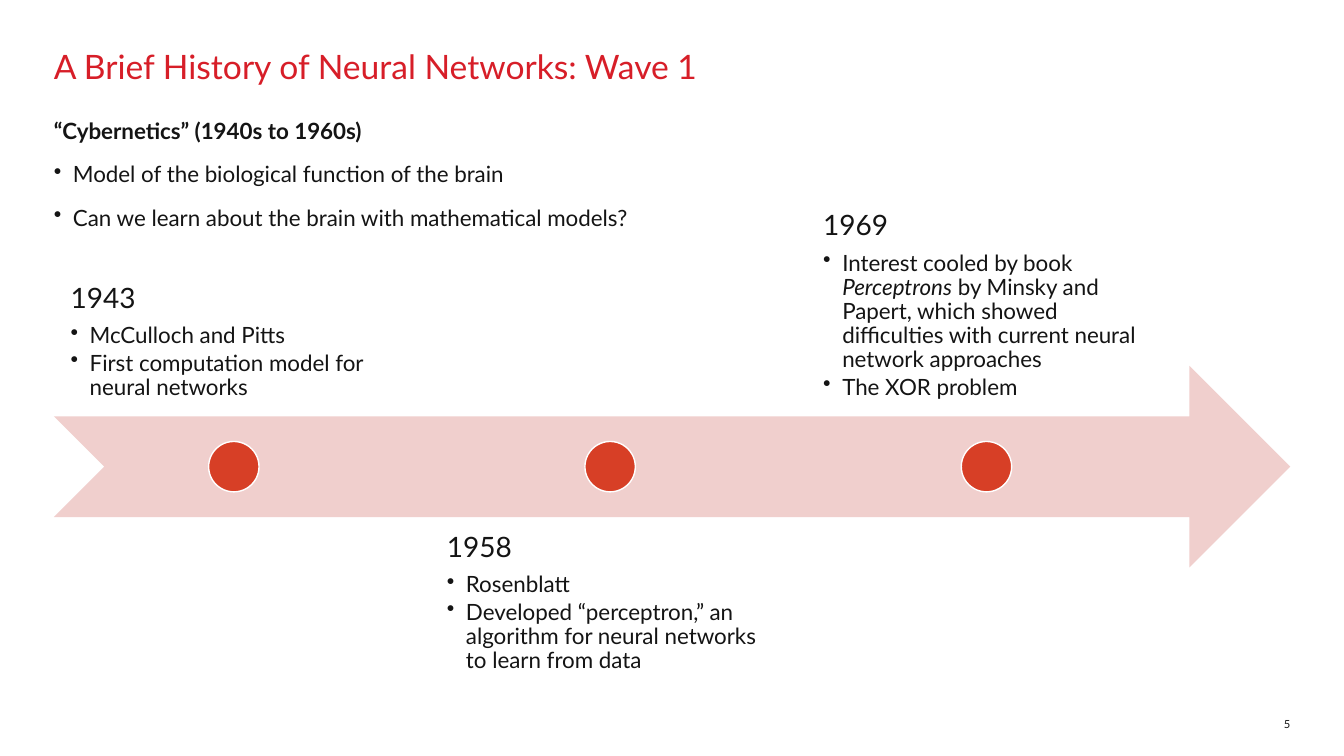
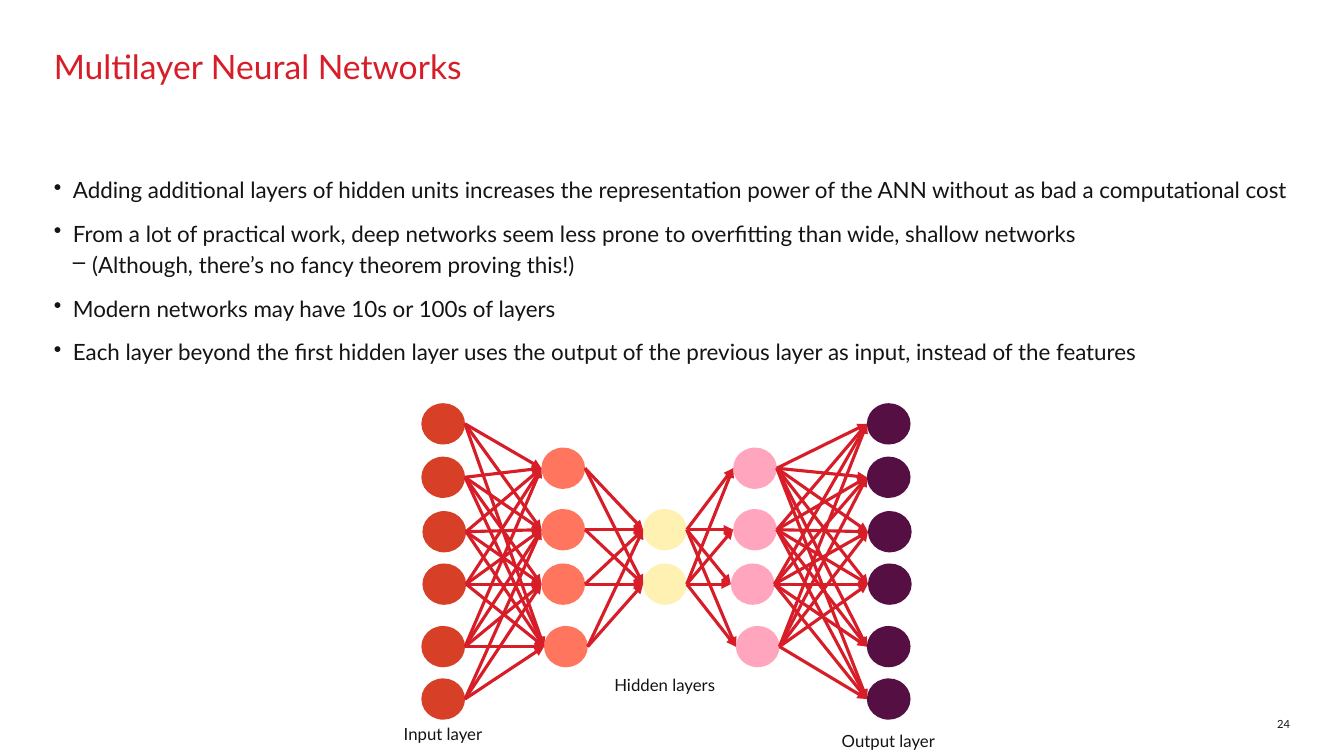
from dataclasses import dataclass
from itertools import pairwise, product

from lxml.etree import SubElement
from pptx import Presentation
from pptx.dml.color import RGBColor
from pptx.enum.shapes import MSO_CONNECTOR as Connector, MSO_SHAPE as Preset
from pptx.enum.text import MSO_ANCHOR as Anchor, PP_ALIGN as Align
from pptx.oxml.ns import qn
from pptx.util import Inches, Pt

COLORS = {
    "title": "D71E28", "text": "141414", "white": "FFFFFF",
    "arrow": "F0CFCD", "red": "D73F26", "coral": "FF755E",
    "cream": "FFF1B2", "pink": "FFA6BE", "plum": "550F43",
}
FONT = "Lato"

# Grid: 100 columns by 75 rows over the whole slide
WIDTH, HEIGHT = Inches(13.333), Inches(7.5)
MARGIN, CONTENT = 4, 92
HANG = Inches(0.19)


@dataclass(frozen=True)
class Line:
    """One paragraph; words between underscores are italic."""
    text: str
    size: float = 16
    color: str = "text"
    bold: bool = False
    bullet: str = ""
    level: int = 0
    before: float = 0
    after: float = 0
    spacing: float = 1.0


@dataclass(frozen=True)
class Milestone:
    year: str
    points: tuple[str, ...]
    above: bool


@dataclass(frozen=True)
class Layer:
    fill: str
    left: float
    tops: tuple[float, ...]
    shifts: tuple[float, ...]

    def nodes(self) -> list[tuple[float, float]]:
        return [(self.left + shift, top) for shift, top in zip(self.shifts, self.tops)]


@dataclass(frozen=True)
class Caption:
    text: str
    center: float
    top: float


def col(count: float) -> int:
    return round(WIDTH * count / 100)


def row(count: float) -> int:
    return round(HEIGHT * count / 75)


def rgb(name: str) -> RGBColor:
    return RGBColor.from_string(COLORS[name])


def add_text(slide, lines: list[Line], left: float, top: float, width: float,
             height: float, *, anchor=Anchor.TOP, align=Align.LEFT, inset: float = 0) -> None:
    frame = slide.shapes.add_textbox(col(left), row(top), col(width), row(height)).text_frame
    frame.word_wrap = True
    frame.vertical_anchor = anchor
    frame.margin_left = frame.margin_right = Inches(inset)
    frame.margin_top = frame.margin_bottom = Inches(inset)
    for index, line in enumerate(lines):
        paragraph = frame.add_paragraph() if index else frame.paragraphs[0]
        if line.bullet:
            props = paragraph._p.get_or_add_pPr()
            props.set("marL", str(HANG * (line.level + 1)))
            props.set("indent", str(-HANG))
            SubElement(props, qn("a:buChar"), char=line.bullet)
        paragraph.level = line.level
        paragraph.alignment = align
        paragraph.line_spacing = line.spacing
        paragraph.space_before = Pt(line.before if index else 0)
        paragraph.space_after = Pt(line.after)
        for part, words in enumerate(line.text.split("_")):
            run = paragraph.add_run()
            run.text = words
            run.font.name, run.font.size = FONT, Pt(line.size)
            run.font.bold, run.font.italic = line.bold, part % 2 == 1
            run.font.color.rgb = rgb(line.color)


def add_preset(slide, preset, fill: str, left: float, top: float, width: float,
               height: float, outline: str = "") -> None:
    shape = slide.shapes.add_shape(preset, col(left), row(top), col(width), row(height))
    shape.shadow.inherit = False
    shape.fill.solid()
    shape.fill.fore_color.rgb = rgb(fill)
    if outline:
        shape.line.color.rgb = rgb(outline)
        shape.line.width = Pt(1)
    else:
        shape.line.fill.background()


def add_arrow(slide, start: tuple[float, float], end: tuple[float, float]) -> None:
    arrow = slide.shapes.add_connector(
        Connector.STRAIGHT, col(start[0]), row(start[1]), col(end[0]), row(end[1]))
    arrow.line.color.rgb = rgb("title")
    arrow.line.width = Pt(2.25)
    SubElement(arrow.line._get_or_add_ln(), qn("a:tailEnd"), type="triangle")
    SubElement(arrow._element.spPr, qn("a:effectLst"))


def add_page(deck, title: str, number: int):
    """Blank slide with the shared title and page number."""
    slide = deck.slides.add_slide(deck.slide_layouts[6])
    add_text(slide, [Line(title, size=24, color="title", spacing=0.9)],
             MARGIN, 5, CONTENT, 11)
    add_text(slide, [Line(str(number), size=8)], 92, 70, 4, 2.5,
             anchor=Anchor.BOTTOM, align=Align.RIGHT)
    return slide


def bullet(text: str) -> Line:
    return Line(text, bullet="•", before=12)


# History timeline
MILESTONES = (
    Milestone("1943", ("McCulloch and Pitts",
                       "First computation model for neural networks"), True),
    Milestone("1958", ("Rosenblatt",
                       "Developed “perceptron,” an algorithm for neural networks "
                       "to learn from data"), False),
    Milestone("1969", ("Interest cooled by book _Perceptrons_ by Minsky and Papert, which "
                       "showed difficulties with current neural network approaches",
                       "The XOR problem"), True),
)
FIRST_CENTER, CENTER_STEP = 17.4, 28
ENTRY_WIDTH, ENTRY_HEIGHT = 26.7, 20
DOT_WIDTH, DOT_HEIGHT = 3.75, 5


def build_history(deck) -> None:
    slide = add_page(deck, "A Brief History of Neural Networks: Wave 1", 5)
    add_text(slide, [
        Line("“Cybernetics” (1940s to 1960s)", bold=True),
        bullet("Model of the biological function of the brain"),
        bullet("Can we learn about the brain with mathematical models?"),
    ], MARGIN, 11.6, CONTENT, 12)
    add_preset(slide, Preset.NOTCHED_RIGHT_ARROW, "arrow", MARGIN, 36.3, CONTENT, 20)
    for index, milestone in enumerate(MILESTONES):
        center = FIRST_CENTER + index * CENTER_STEP
        entry = [Line(milestone.year, size=20, after=7, spacing=0.9)]
        entry += [Line(point, bullet="•", after=2.4, spacing=0.9)
                  for point in milestone.points]
        add_text(slide, entry, center - ENTRY_WIDTH / 2, 21.3 if milestone.above else 51.3,
                 ENTRY_WIDTH, ENTRY_HEIGHT, inset=0.16,
                 anchor=Anchor.BOTTOM if milestone.above else Anchor.TOP)
        add_preset(slide, Preset.OVAL, "red", center - DOT_WIDTH / 2, 43.8,
                   DOT_WIDTH, DOT_HEIGHT, outline="white")


# Network diagram
NODE_WIDTH, NODE_HEIGHT = 3.25, 4.1
OUTER_TOPS = (40, 45.3, 50.7, 55.9, 62.1, 67.3)
OUTER_SHIFTS = (0, 0, 0.08, 0.08, 0, 0)
HIDDEN_TOPS = (44.4, 50.5, 55.9, 62.1)
LAYERS = (
    Layer("red", 31.35, OUTER_TOPS, OUTER_SHIFTS),
    Layer("coral", 40.28, HIDDEN_TOPS, (0, 0, 0, 0.2)),
    Layer("cream", 47.85, HIDDEN_TOPS[1:3], (0, 0)),
    Layer("pink", 54.55, HIDDEN_TOPS, (0, 0, -0.17, 0.2)),
    Layer("plum", 64.5, OUTER_TOPS, OUTER_SHIFTS),
)
# Links left undrawn: (layer, node, node in the next layer)
UNLINKED = {(0, 0, 2), (0, 5, 0), (3, 3, 4)}
CAPTIONS = (
    Caption("Input layer", 32.96, 71.8),
    Caption("Hidden layers", 49.46, 66.9),
    Caption("Output layer", 66.1, 72.5),
)
CAPTION_WIDTH = 8


def build_network(deck) -> None:
    slide = add_page(deck, "Multilayer Neural Networks", 24)
    add_text(slide, [
        bullet("Adding additional layers of hidden units increases the representation power "
               "of the ANN without as bad a computational cost"),
        bullet("From a lot of practical work, deep networks seem less prone to overfitting "
               "than wide, shallow networks"),
        Line("(Although, there’s no fancy theorem proving this!)",
             bullet="–", level=1, before=3),
        bullet("Modern networks may have 10s or 100s of layers"),
        bullet("Each layer beyond the first hidden layer uses the output of the previous "
               "layer as input, instead of the features"),
    ], MARGIN, 17.5, CONTENT, 50)
    for layer in LAYERS:
        for left, top in layer.nodes():
            add_preset(slide, Preset.OVAL, layer.fill, left, top, NODE_WIDTH, NODE_HEIGHT)
    middle = NODE_HEIGHT / 2
    for depth, (source, target) in enumerate(pairwise(LAYERS)):
        links = product(enumerate(source.nodes()), enumerate(target.nodes()))
        for (i, (x1, y1)), (j, (x2, y2)) in links:
            if (depth, i, j) not in UNLINKED:
                add_arrow(slide, (x1 + NODE_WIDTH, y1 + middle), (x2, y2 + middle))
    for caption in CAPTIONS:
        add_text(slide, [Line(caption.text, size=12)], caption.center - CAPTION_WIDTH / 2,
                 caption.top, CAPTION_WIDTH, 2.5, align=Align.CENTER)


def main() -> None:
    deck = Presentation()
    deck.slide_width, deck.slide_height = WIDTH, HEIGHT
    build_history(deck)
    build_network(deck)
    deck.save("out.pptx")


if __name__ == "__main__":
    main()
